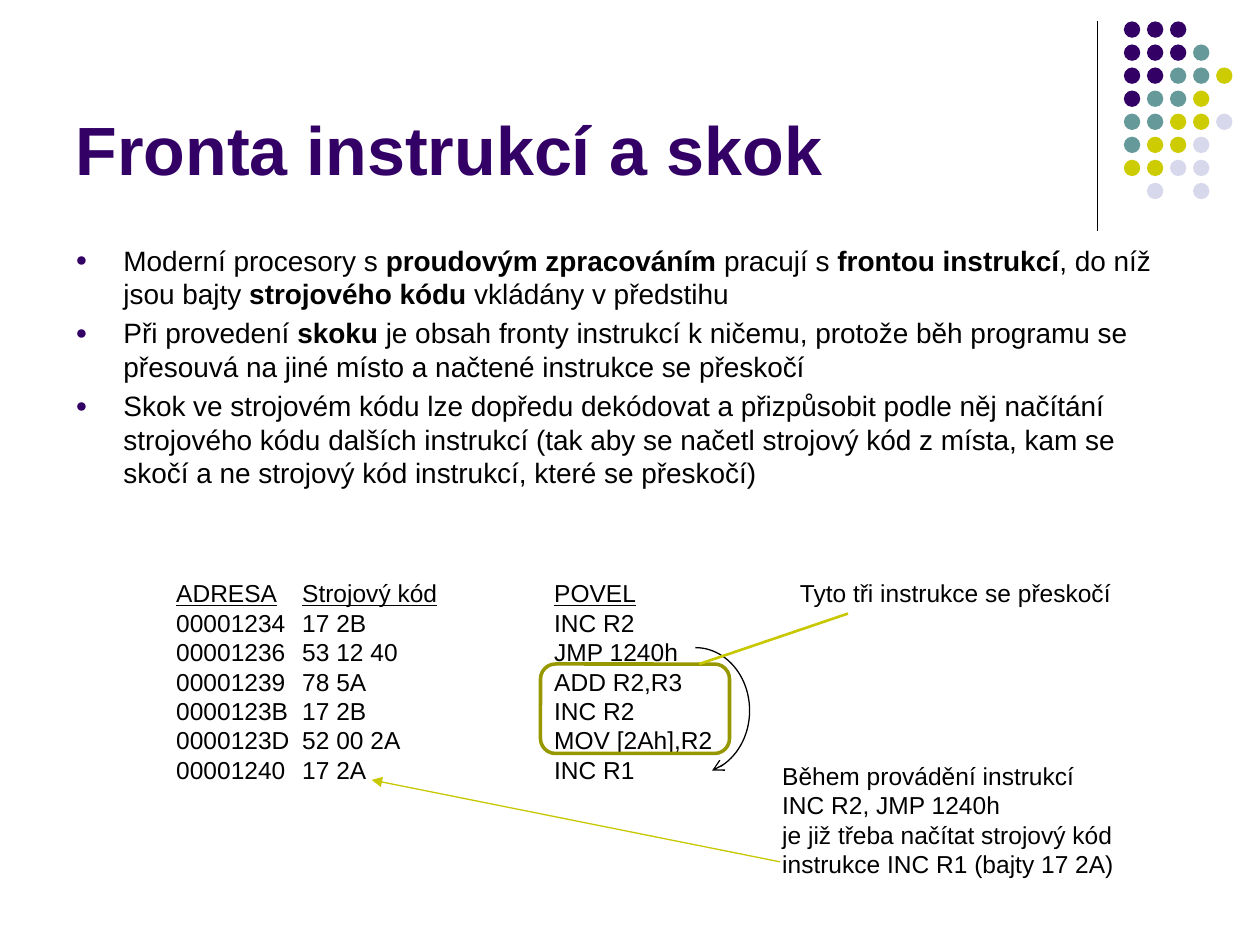
import dataclasses

import lxml.etree
import pptx
import pptx.dml.color
import pptx.enum.shapes
import pptx.enum.text
import pptx.oxml.ns
import pptx.util

Inches = pptx.util.Inches
Pt = pptx.util.Pt
RGB = pptx.dml.color.RGBColor.from_string
qn = pptx.oxml.ns.qn
Kind = pptx.enum.shapes.MSO_SHAPE
Anchor = pptx.enum.text.MSO_ANCHOR


@dataclasses.dataclass(frozen=True)
class Theme:
    font: str = "Arial"
    ink: str = "000000"
    paper: str = "FFFFFF"
    plum: str = "330066"
    teal: str = "669999"
    lime: str = "CCCC00"
    mist: str = "D8D8EC"
    olive: str = "979700"
    link: str = "C8C800"
    head: float = 39
    body: float = 16
    note: float = 14


theme = Theme()


def write(shape, lines, size=theme.note, color=theme.ink, bold=False, anchor=Anchor.TOP, before=0):
    frame = shape.text_frame
    frame.word_wrap = True
    frame.auto_size = pptx.enum.text.MSO_AUTO_SIZE.NONE
    frame.vertical_anchor = anchor
    for i, line in enumerate(lines):
        para = frame.paragraphs[0] if i == 0 else frame.add_paragraph()
        para.alignment = pptx.enum.text.PP_ALIGN.LEFT
        para.space_before = Pt(before)
        for j, part in enumerate(line.split("**")):
            run = para.add_run()
            run.text = part
            run.font.name = theme.font
            run.font.size = Pt(size)
            run.font.color.rgb = RGB(color)
            run.font.bold = bold or j % 2 == 1
    return frame.paragraphs


def stroke(shape, color, width, tip=None):
    shape.line.color.rgb = RGB(color)
    shape.line.width = Pt(width)
    props = shape._element.spPr
    if tip:
        lxml.etree.SubElement(props.find(qn("a:ln")), qn("a:tailEnd"), type=tip)
    lxml.etree.SubElement(props, qn("a:effectLst"))


deck = pptx.Presentation()
deck.slide_width = Inches(10)
deck.slide_height = Inches(7.5)
slide = deck.slides.add_slide(deck.slide_layouts[1])
shapes = slide.shapes

hues = {"P": theme.plum, "T": theme.teal, "L": theme.lime, "M": theme.mist}
grid = ["PPP", "PPPT", "PPTTL", "PTTL", "TTLLM", "TLLM", "LLMM", " M M"]
dots = shapes.add_group_shape()
for row, marks in enumerate(grid):
    for col, mark in enumerate(marks):
        if mark in hues:
            dot = dots.shapes.add_shape(
                Kind.OVAL, Inches(8.92 + col * 0.183), Inches(0.17 + row * 0.183),
                Inches(0.13), Inches(0.13))
            dot.shadow.inherit = False
            dot.fill.solid()
            dot.fill.fore_color.rgb = RGB(hues[mark])
            dot.line.fill.background()

title = shapes.title
title.left, title.top, title.width, title.height = map(Inches, (0.5, 0.13, 8.25, 1.42))
write(title, ["Fronta instrukcí a skok"], size=theme.head, color=theme.plum, bold=True,
      anchor=Anchor.BOTTOM)

body = slide.placeholders[1]
body.left, body.top, body.width, body.height = map(Inches, (0.5, 1.88, 9, 4.82))
points = [
    "Moderní procesory s **proudovým zpracováním** pracují s **frontou instrukcí**, "
    "do níž jsou bajty **strojového kódu** vkládány v předstihu",
    "Při provedení **skoku** je obsah fronty instrukcí k ničemu, protože běh programu "
    "se přesouvá na jiné místo a načtené instrukce se přeskočí",
    "Skok ve strojovém kódu lze dopředu dekódovat a přizpůsobit podle něj načítání "
    "strojového kódu dalších instrukcí (tak aby se načetl strojový kód z místa, kam se "
    "skočí a ne strojový kód instrukcí, které se přeskočí)",
]
for para in write(body, points, size=theme.body, before=3.2):
    props = para._p.get_or_add_pPr()
    props.set("marL", str(Inches(0.38)))
    props.set("indent", str(-Inches(0.38)))
    tint = lxml.etree.SubElement(props, qn("a:buClr"))
    lxml.etree.SubElement(tint, qn("a:srgbClr"), val=theme.plum)
    lxml.etree.SubElement(props, qn("a:buSzPct"), val="70000")
    lxml.etree.SubElement(props, qn("a:buFont"), typeface=theme.font)
    lxml.etree.SubElement(props, qn("a:buChar"), char="●")

code = shapes.add_shape(Kind.RECTANGLE, Inches(1.3), Inches(4.54), Inches(6.38), Inches(1.75))
code.fill.background()
stroke(code, theme.paper, 0.75)
rows = [
    ("ADRESA", "Strojový kód", "POVEL"),
    ("00001234", "17 2B", "INC R2"),
    ("00001236", "53 12 40", "JMP 1240h"),
    ("00001239", "78 5A", "ADD R2,R3"),
    ("0000123B", "17 2B", "INC R2"),
    ("0000123D", "52 00 2A", "MOV [2Ah],R2"),
    ("00001240", "17 2A", "INC R1"),
]
paras = write(code, ["\t".join(row) for row in rows])
paras[0].runs[0].font.underline = True
for para in paras:
    tabs = lxml.etree.SubElement(para._p.get_or_add_pPr(), qn("a:tabLst"))
    for stop in (1, 3):
        lxml.etree.SubElement(tabs, qn("a:tab"), pos=str(Inches(stop)), algn="l")

jump = shapes.add_shape(Kind.ARC, Inches(5.09), Inches(5.14), Inches(0.86), Inches(1))
jump.adjustments[0] = 162
jump.adjustments[1] = 44.686
jump.fill.background()
stroke(jump, theme.ink, 0.75, tip="arrow")

notes = [
    ((6.25, 4.54, 3.24, 0.34), ["Tyto tři instrukce se přeskočí"]),
    ((6.11, 5.99, 3.07, 1.04), [
        "Během provádění instrukcí",
        "INC R2, JMP 1240h",
        "je již třeba načítat strojový kód instrukce INC R1 (bajty 17 2A)",
    ]),
]
for place, lines in notes:
    write(shapes.add_textbox(*map(Inches, place)), lines)

frame = shapes.add_shape(
    Kind.ROUNDED_RECTANGLE, Inches(4.29), Inches(5.27), Inches(1.5), Inches(0.71))
frame.fill.background()
stroke(frame, theme.olive, 2)

links = [
    ((8.71, 0.17, 8.71, 1.83), theme.ink, 0.75, None),
    ((5.55, 5.27, 6.73, 4.87), theme.link, 1.5, None),
    ((6.19, 6.84, 2.95, 6.19), theme.link, 0.75, "triangle"),
]
for ends, color, width, tip in links:
    line = shapes.add_connector(pptx.enum.shapes.MSO_CONNECTOR.STRAIGHT, *map(Inches, ends))
    stroke(line, color, width, tip)

deck.save("out.pptx")
